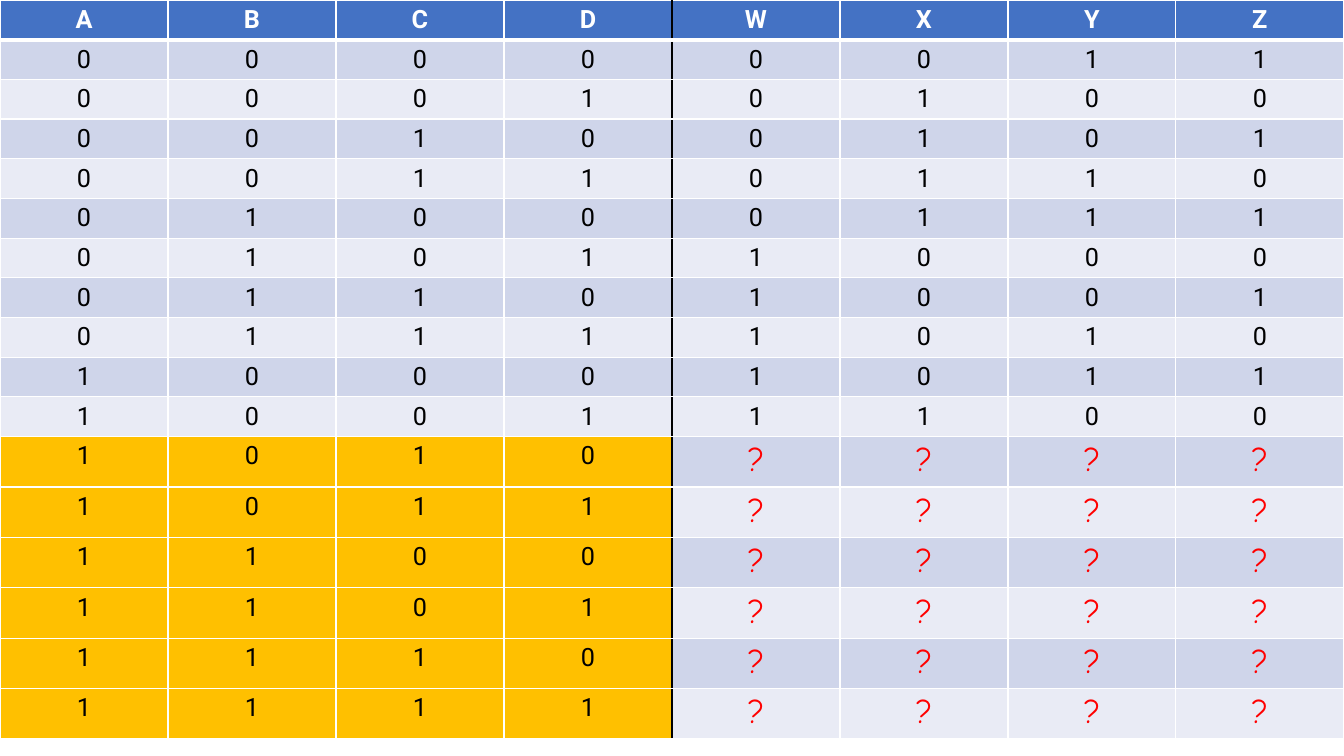
from lxml.etree import SubElement
from pptx import Presentation
from pptx.dml.color import RGBColor
from pptx.enum.text import PP_ALIGN
from pptx.oxml.ns import qn
from pptx.util import Pt

HUES = {
    "head": "4472C4",
    "odd": "CFD5EA",
    "even": "E9EBF5",
    "spare": "FFC000",
    "white": "FFFFFF",
    "black": "000000",
    "red": "FF0000",
}
NAMES = "ABCDWXYZ"
BITS = 4
VALID = 10
SHIFT = 3


def code_rows():
    rows = [NAMES]
    for num in range(2 ** BITS):
        code = f"{num + SHIFT:04b}" if num < VALID else "?" * BITS
        rows.append(f"{num:04b}" + code)
    return rows


def add_edge(cell, side, hue, width):
    line = SubElement(cell._tc.get_or_add_tcPr(), qn(f"a:ln{side}"), w=str(Pt(width)))
    fill = SubElement(line, qn("a:solidFill"))
    SubElement(fill, qn("a:srgbClr"), val=HUES[hue])


def edge_cell(cell, row, col):
    add_edge(cell, "L", "black" if col == BITS else "white", 1)
    add_edge(cell, "R", "black" if col == BITS - 1 else "white", 1)
    add_edge(cell, "T", "white", 3 if row == 1 else 1)
    add_edge(cell, "B", "white", 3 if row == 0 else 1)


def fill_cell(cell, row, col):
    if row == 0:
        hue = "head"
    elif row > VALID and col < BITS:
        hue = "spare"
    else:
        hue = "odd" if row % 2 else "even"
    cell.fill.solid()
    cell.fill.fore_color.rgb = RGBColor.from_string(HUES[hue])


def write_cell(cell, text, head):
    para = cell.text_frame.paragraphs[0]
    para.alignment = PP_ALIGN.CENTER
    run = para.add_run()
    run.text = text
    font = run.font
    ask = text == "?"
    font.name = "Comic Neue" if ask else "Roboto"
    font.size = Pt(24 if ask else 18)
    font.bold = head
    hue = "white" if head else "red" if ask else "black"
    font.color.rgb = RGBColor.from_string(HUES[hue])


def add_truth(slide, left, top, width, height):
    rows = code_rows()
    frame = slide.shapes.add_table(
        len(rows), len(NAMES), Pt(left), Pt(top), Pt(width), Pt(height)
    )
    table = frame.table
    for col in table.columns:
        col.width = Pt(width / len(NAMES))
    for row, texts in enumerate(rows):
        table.rows[row].height = Pt(36 if row > VALID else 27.4)
        for col, text in enumerate(texts):
            cell = table.cell(row, col)
            edge_cell(cell, row, col)
            fill_cell(cell, row, col)
            write_cell(cell, text, row == 0)


def main():
    deck = Presentation()
    deck.slide_width, deck.slide_height = Pt(960), Pt(540)
    slide = deck.slides.add_slide(deck.slide_layouts[6])
    add_truth(slide, 0, 0, 960, 532.8)
    deck.save("out.pptx")


if __name__ == "__main__":
    main()
